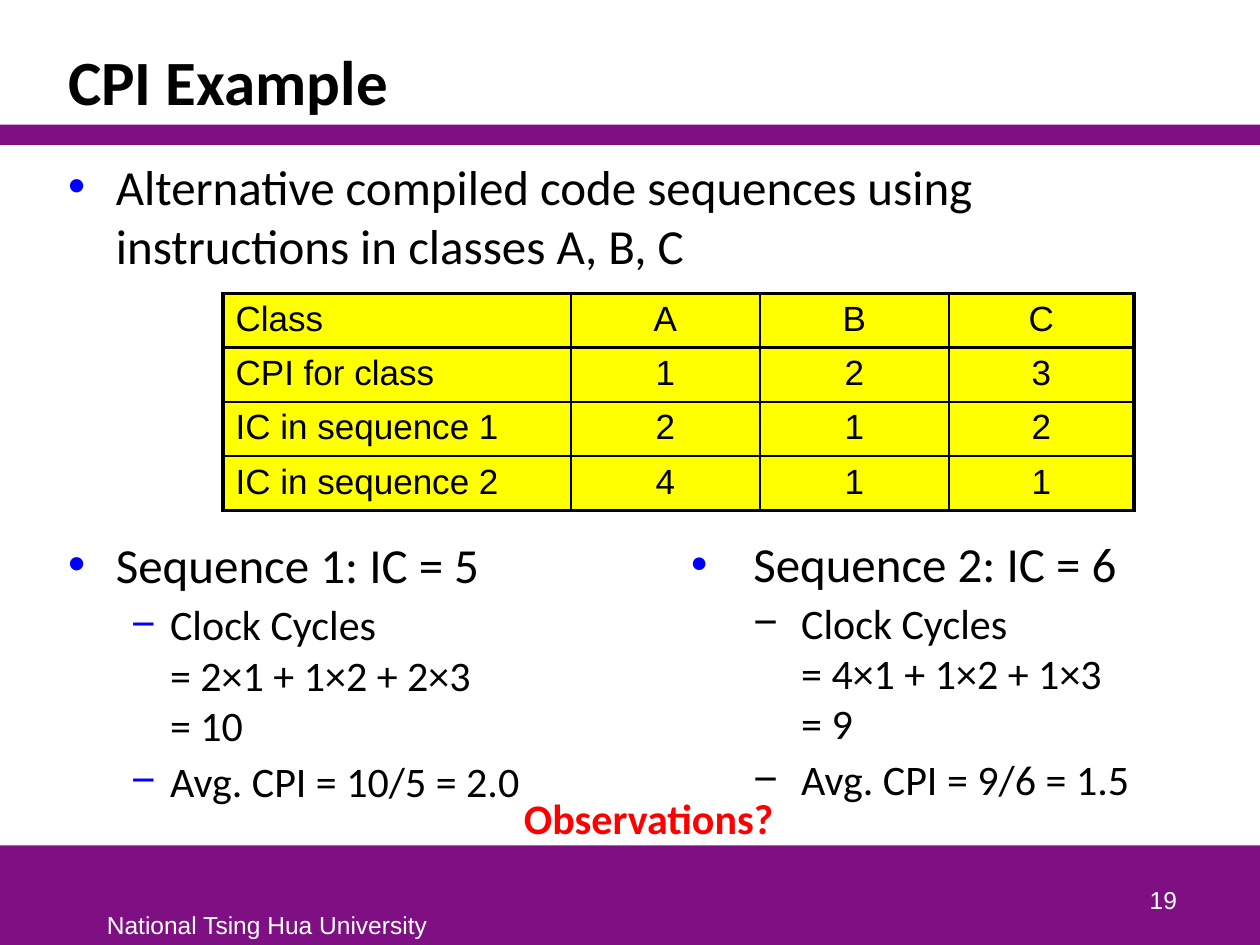
import pptx
import pptx.util
import pptx.dml.color
import pptx.enum.shapes
import pptx.enum.text
import pptx.oxml
import pptx.oxml.ns
from lxml import etree

Inches, Pt = pptx.util.Inches, pptx.util.Pt
Align = pptx.enum.text.PP_ALIGN
Anchor = pptx.enum.text.MSO_ANCHOR

# Content
TITLE = "CPI Example"
INTRO = "Alternative compiled code sequences using instructions in classes A, B, C"
LEFT = [
    (0, ["Sequence 1: IC = 5"]),
    (1, ["Clock Cycles", "= 2×1 + 1×2 + 2×3", "= 10"]),
    (1, ["Avg. CPI = 10/5 = 2.0"]),
]
RIGHT = [
    (0, ["Sequence 2: IC = 6"]),
    (1, ["Clock Cycles", "= 4×1 + 1×2 + 1×3", "= 9"]),
    (1, ["Avg. CPI = 9/6 = 1.5"]),
]
ROWS = [
    ("Class", "A", "B", "C"),
    ("CPI for class", "1", "2", "3"),
    ("IC in sequence 1", "2", "1", "2"),
    ("IC in sequence 2", "4", "1", "1"),
]
ASK = "Observations?"
SCHOOL = "National Tsing Hua University"
PAGE = "19"

# Theme
THEME = {
    "head": "Calibri", "plain": "Arial",
    "bar": "7F1084", "ink": "000000", "mark": "0000FF",
    "cell": "FFFF00", "alert": "FF0000", "light": "FFFFFF",
    "title": 36, "list": (28, 24), "table": 20, "foot": 14,
    "thick": 2.25, "thin": 1,
}
# Per list level: (indent, hang, bullet, bullet colour, bullet size %)
MAIN = [(0.38, 0.38, "•", "mark", 100), (0.81, 0.31, "−", "mark", 100)]
SIDE = [(0.5, 0.5, "●", "mark", 60), (0.88, 0.38, "−", "ink", 100)]
GAP = 149  # points left free for the table


def color(name):
    return pptx.dml.color.RGBColor.from_string(THEME[name])


def write(para, text, size, face="head", ink="ink", bold=False):
    run = para.add_run()
    run.text = text
    font = run.font
    font.size, font.name, font.bold = Pt(size), THEME[face], bold
    font.color.rgb = color(ink)


def place(shape, left, top, width, height):
    shape.left, shape.top = Inches(left), Inches(top)
    shape.width, shape.height = Inches(width), Inches(height)


def node(parent, tag, **attrs):
    return etree.SubElement(parent, pptx.oxml.ns.qn("a:" + tag), attrs)


def bullet(para, style):
    indent, hang, char, ink, size = style
    props = para._p.get_or_add_pPr()
    props.set("marL", str(Inches(indent)))
    props.set("indent", str(-Inches(hang)))
    node(node(props, "buClr"), "srgbClr", val=THEME[ink])
    node(props, "buSzPct", val=str(size * 1000))
    node(props, "buFont", typeface=THEME["plain"])
    node(props, "buChar", char=char)


def fill_list(frame, items, styles, gaps):
    for i, ((level, lines), gap) in enumerate(zip(items, gaps)):
        para = frame.paragraphs[0] if i == 0 else frame.add_paragraph()
        para.level = level
        bullet(para, styles[level])
        para.space_before = Pt(gap)
        for j, line in enumerate(lines):
            if j:
                para.add_line_break()
            write(para, line, THEME["list"][level])


def label(box, text, size, wrap=False, **look):
    shape = slide.shapes.add_textbox(*map(Inches, box))
    frame = shape.text_frame
    frame.word_wrap = wrap
    write(frame.paragraphs[0], text, size, **look)
    return frame


def border(cell, sides):
    props = cell._tc.get_or_add_tcPr()
    for i, (side, width) in enumerate(zip("LRTB", sides)):
        line = node(props, "ln" + side, w=str(Pt(width)))
        node(node(line, "solidFill"), "srgbClr", val=THEME["ink"])
        props.insert(i, line)


deck = pptx.Presentation()
deck.slide_width, deck.slide_height = Inches(10), Inches(7.5)
slide = deck.slides.add_slide(deck.slide_layouts[1])
title, body = slide.placeholders

# Bars
for top, height in [(6.71, 0.79), (0.99, 0.16)]:
    bar = slide.shapes.add_shape(
        pptx.enum.shapes.MSO_SHAPE.RECTANGLE,
        Inches(0), Inches(top), deck.slide_width, Inches(height))
    bar.shadow.inherit = False
    bar.fill.solid()
    bar.fill.fore_color.rgb = color("bar")
    bar.line.fill.background()

# Title
place(title, 0.44, 0.25, 9.12, 0.74)
frame = title.text_frame
frame.auto_size = pptx.enum.text.MSO_AUTO_SIZE.NONE
frame.vertical_anchor = Anchor.BOTTOM
para = frame.paragraphs[0]
para.alignment, para.line_spacing = Align.LEFT, 0.85
write(para, TITLE, THEME["title"], bold=True)

# Main list
place(body, 0.44, 1.15, 9.12, 5.53)
frame = body.text_frame
frame.auto_size = pptx.enum.text.MSO_AUTO_SIZE.NONE
frame.margin_top = Inches(0.09)
fill_list(frame, [(0, [INTRO])] + LEFT, MAIN, [0, GAP, 3, 3])

# Table
grid = slide.shapes.add_table(
    len(ROWS), len(ROWS[0]),
    Inches(1.77), Inches(2.33), Inches(7.23), Inches(1.73)).table
for col, width in zip(grid.columns, [2.76, 1.5, 1.5, 1.47]):
    col.width = Inches(width)
thick, thin = THEME["thick"], THEME["thin"]
last = len(ROWS) - 1
end = len(ROWS[0]) - 1
for r, row in enumerate(ROWS):
    grid.rows[r].height = Inches(0.43)
    for c, text in enumerate(row):
        cell = grid.cell(r, c)
        cell.fill.solid()
        cell.fill.fore_color.rgb = color("cell")
        para = cell.text_frame.paragraphs[0]
        para.alignment = Align.CENTER if c else Align.LEFT
        write(para, text, THEME["table"], face="plain")
        heavy = (c == 0, c == end, r in (0, 1), r in (0, last))
        border(cell, [thick if h else thin for h in heavy])

# Second list
side = slide.shapes.add_textbox(*map(Inches, (5.38, 4.14, 4.25, 2.28)))
frame = side.text_frame
frame.word_wrap = True
frame.margin_top = Inches(0.09)
fill_list(frame, RIGHT, SIDE, [0, 3, 3])

# Question and footer
label((4.06, 6.24, 2.21, 0.5), ASK, THEME["list"][1], ink="alert", bold=True)
foot = {"size": THEME["foot"], "face": "plain", "ink": "light"}
label((0.75, 7.17, 2.76, 0.33), SCHOOL, **foot)
frame = label((7.36, 6.81, 2.08, 0.5), PAGE, wrap=True, **foot)
frame.vertical_anchor = Anchor.BOTTOM
frame.paragraphs[0].alignment = Align.RIGHT

deck.save("out.pptx")
